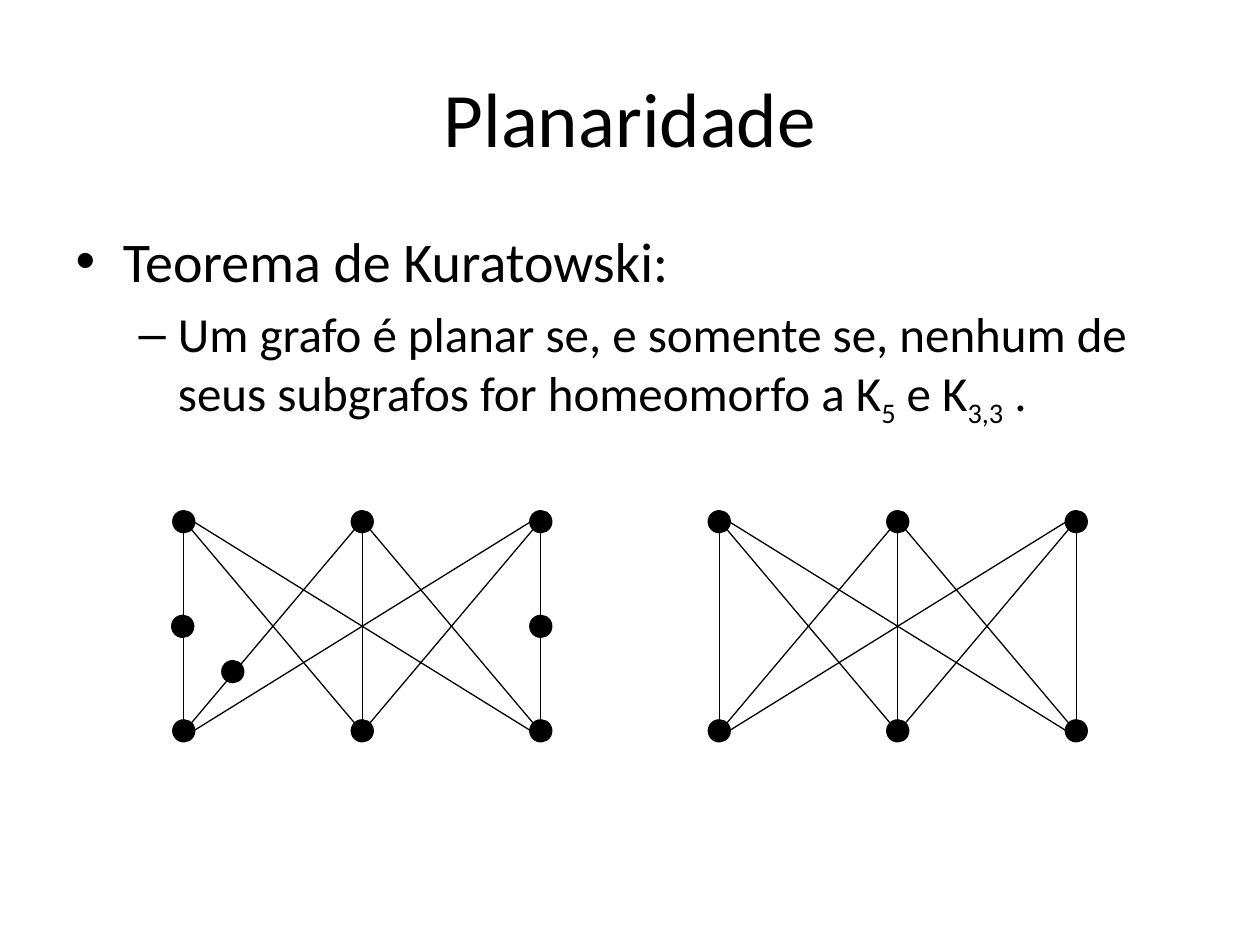
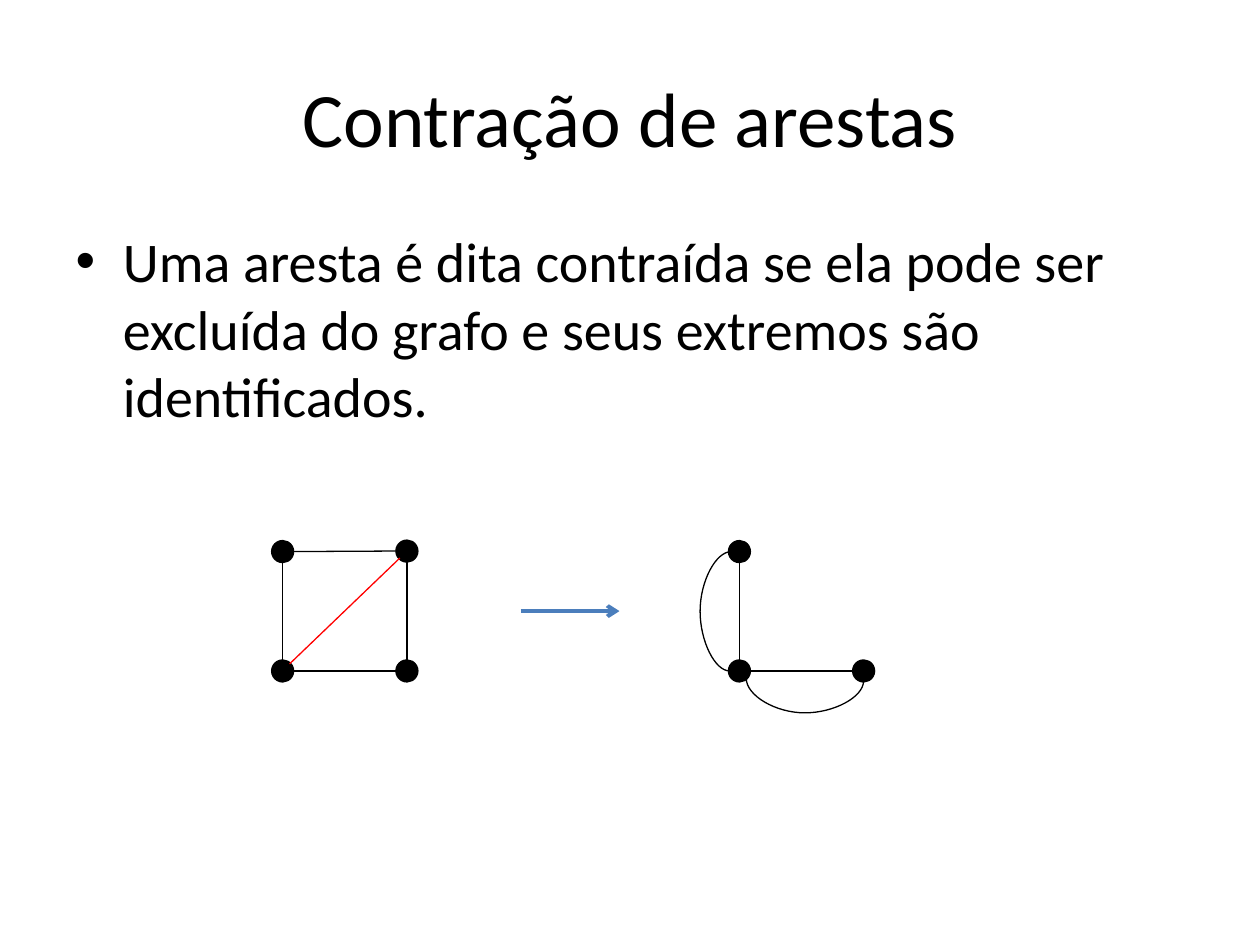
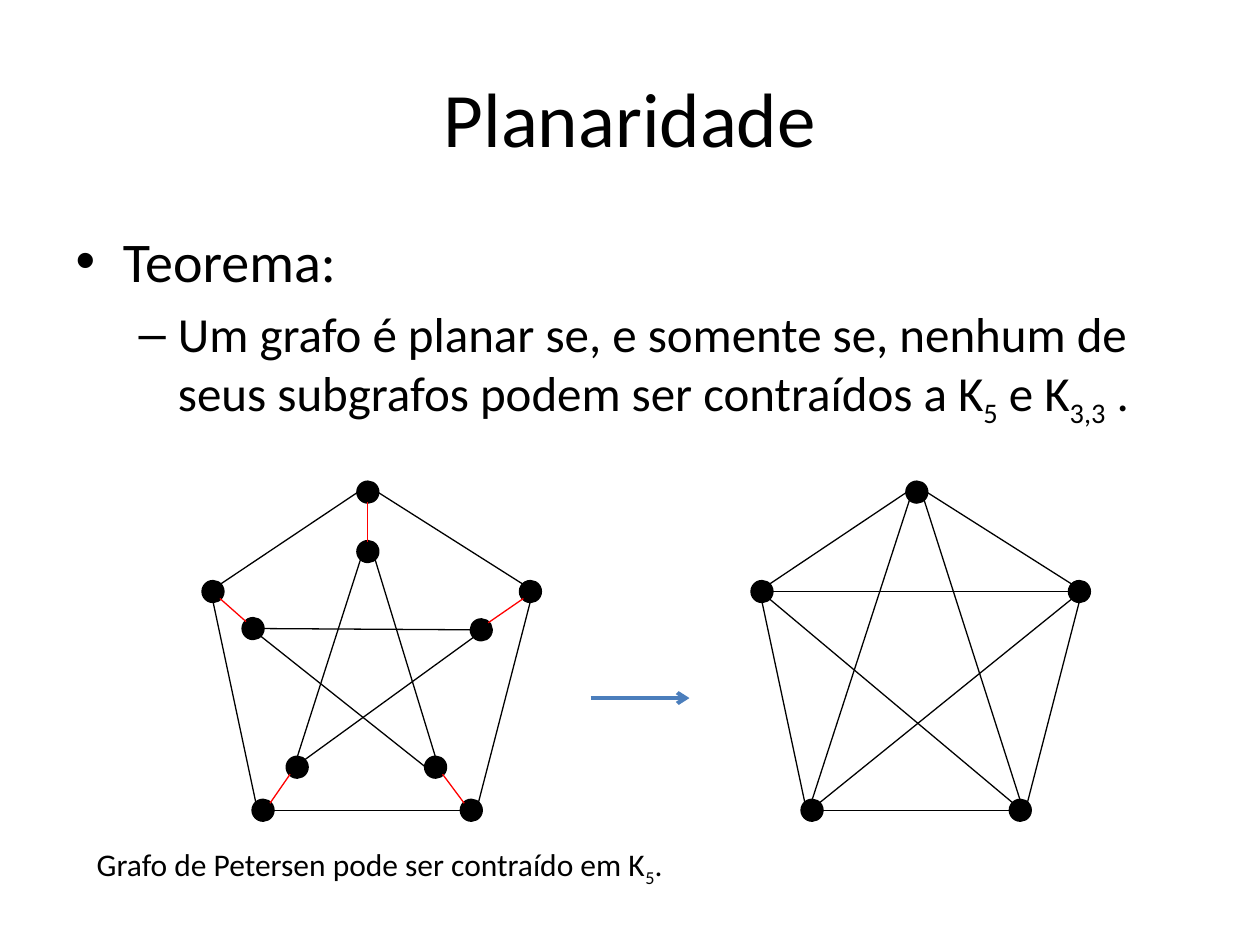
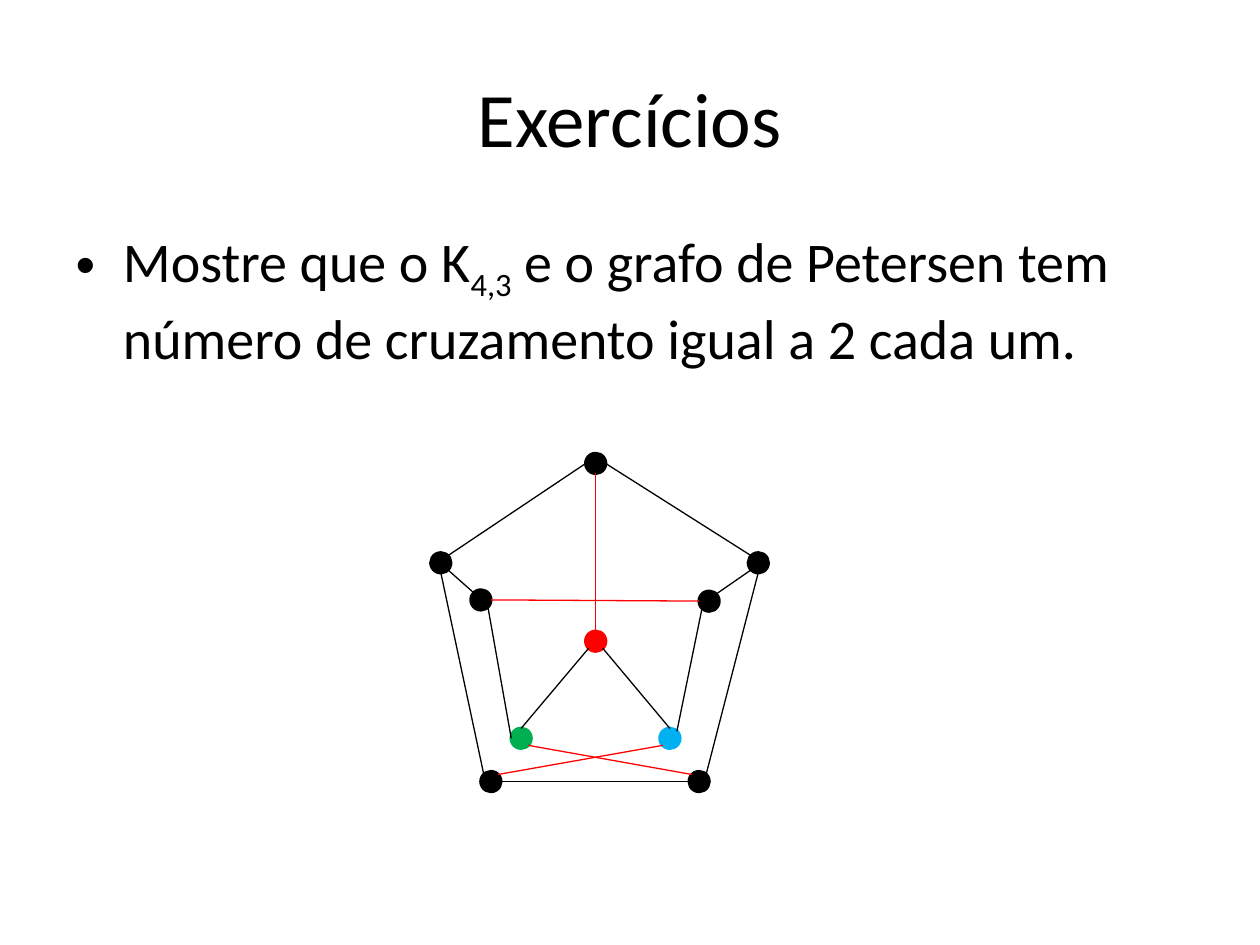
from lxml import etree
from pptx import Presentation
from pptx.dml.color import RGBColor
from pptx.enum.shapes import MSO_CONNECTOR, MSO_SHAPE
from pptx.enum.text import MSO_ANCHOR, PP_ALIGN
from pptx.oxml.ns import qn
from pptx.util import Pt

STRAIGHT, CURVE = MSO_CONNECTOR.STRAIGHT, MSO_CONNECTOR.CURVE
OVAL = MSO_SHAPE.OVAL
MIDDLE, CENTER = MSO_ANCHOR.MIDDLE, PP_ALIGN.CENTER

COLORS = {"black": "000000", "red": "FF0000", "green": "00B050",
          "cyan": "00B0F0", "arrow": "4B7EBC"}
FONT = "Calibri"
BODY_SIZES = [32, 28]
NODE_SIZE = 11.3
RADIUS = NODE_SIZE / 2
DIAGONAL = RADIUS * 0.71
SITES = {"N": (0, -RADIUS), "S": (0, RADIUS), "W": (-RADIUS, 0), "E": (RADIUS, 0),
         "NW": (-DIAGONAL, -DIAGONAL), "NE": (DIAGONAL, -DIAGONAL),
         "SW": (-DIAGONAL, DIAGONAL), "SE": (DIAGONAL, DIAGONAL)}


def write_para(para, text, size):
    """Fill a paragraph; every second piece between bars is a subscript."""
    for index, piece in enumerate(text.split("|")):
        span = para.add_run()
        span.text = piece
        span.font.name = FONT
        span.font.size = Pt(size)
        span.font.color.rgb = RGBColor.from_string(COLORS["black"])
        if index % 2:
            span.font._element.set("baseline", "-25000")


def draw_line(page, begin, end, color="black", width=0.75, kind=STRAIGHT):
    line = page.shapes.add_connector(kind, *[Pt(value) for value in (*begin, *end)])
    line.line.color.rgb = RGBColor.from_string(COLORS[color])
    line.line.width = Pt(width)
    etree.SubElement(line._element.spPr, qn("a:effectLst"))
    return line


# Bipartite graph K3,3: three columns, two rows
COLUMN_GAP = 102
TOP_SITES = ["W", "SW", "S", "SE", "E"]
BOTTOM_SITES = ["E", "NE", "N", "NW", "W"]
bipartite = {f"{row}{column}": (105 + column * COLUMN_GAP, y)
             for row, y in (("top", 298.1), ("low", 417.6)) for column in range(3)}
bipartite_edges = " ".join(
    f"top{i}.{TOP_SITES[j - i + 2]}-low{j}.{BOTTOM_SITES[j - i + 2]}"
    for i in range(3) for j in range(3))
subdivided = {**bipartite, "mid0": (104.4, 357.9), "mid1": (133, 383.8), "mid2": (309, 357.9)}

# Square with a diagonal, and what is left after its contraction
square = {"a": (161.5, 315.2), "b": (232.5, 314.9), "c": (161.5, 383.4), "d": (232.5, 383.4)}
contracted = {name: square[name] for name in "acd"}
CONTRACTED_SHIFT = 261

# Pentagon and Petersen graphs; capitals name the outer nodes
pentagon = {"T": (210.2, 281.2), "L": (121.7, 338), "R": (303.1, 338),
            "BL": (150.3, 463), "BR": (269.3, 463)}
pentagon_edges = "R.NW-T.E T.W-L.NE L.S-BL.NW R.S-BR.NE BL.E-BR.W "
side_nodes = {"l": (144.6, 359.2), "r": (275, 359.9)}
petersen = {**pentagon, **side_nodes, "t": (210.2, 315.2),
            "bl": (169.8, 438.4), "br": (248.9, 438.4)}
two_crossings = {**pentagon, **side_nodes, "t": (210.2, 382.8),
                 "bl": (167.6, 438.3), "br": (252.6, 438.3)}
node_colors = {"t": "red", "bl": "green", "br": "cyan"}

# Each graph: shift, nodes, black edges, red edges, node colours
PAGES = [
    {"title": "Planaridade",
     "body": ["Teorema de Kuratowski:",
              "Um grafo é planar se, e somente se, nenhum de seus subgrafos "
              "for homeomorfo a K|5| e K|3,3| ."],
     "graphs": [((0, 0), subdivided, bipartite_edges, "", {}),
                ((3 * COLUMN_GAP, 0), bipartite, bipartite_edges, "", {})]},
    {"title": "Contração de arestas",
     "body": ["Uma aresta é dita contraída se ela pode ser excluída do grafo "
              "e seus extremos são identificados."],
     "graphs": [((0, 0), square, "a.E-b.W b.S-d.N d.W-c.E a.S-c.N", "b.SW-c.NE", {}),
                ((CONTRACTED_SHIFT, 0), contracted, "d.W-c.E a.S-c.N", "", {})],
     "arrow": (297.5, 349.2)},
    {"title": "Planaridade",
     "body": ["Teorema:",
              "Um grafo é planar se, e somente se, nenhum de seus subgrafos "
              "podem ser contraídos a K|5| e K|3,3| ."],
     "graphs": [((0, 0), petersen,
                 pentagon_edges + "t.SE-br.N t.SW-bl.N br.W-l.SE l.E-r.W r.SW-bl.NE",
                 "T.S-t.N R.SW-r.NE L.SE-l.NW BR.NW-br.SE bl.SW-BL.NE", {}),
                ((313.7, 0), pentagon,
                 pentagon_edges + "T.SE-BR.N T.SW-BL.N BR.NW-L.SE L.E-R.W R.SW-BL.NE",
                 "", {})],
     "arrow": (337.5, 398.9)},
    {"title": "Exercícios",
     "body": ["Mostre que o K|4,3| e o grafo de Petersen tem número de "
              "cruzamento igual a 2 cada um."],
     "graphs": [((130.2, -16.4), two_crossings,
                 pentagon_edges + "t.SW-bl.N t.SE-br.N bl.W-l.SE r.SW-br.NE R.SW-r.NE L.SE-l.NW",
                 "l.E-r.W T.S-t.N BR.NW-bl.SE br.SW-BL.NE", node_colors)]},
]
ARROW_LENGTH = 56.5

deck = Presentation()
deck.slide_width, deck.slide_height = Pt(720), Pt(540)

for content in PAGES:
    page = deck.slides.add_slide(deck.slide_layouts[1])
    title, body = page.placeholders
    for holder, top, height in ((title, 21.6, 90), (body, 126, 356.4)):
        holder.left, holder.top = Pt(36), Pt(top)
        holder.width, holder.height = Pt(648), Pt(height)
    title.text_frame.vertical_anchor = MIDDLE
    title.text_frame.paragraphs[0].alignment = CENTER
    write_para(title.text_frame.paragraphs[0], content["title"], 44)
    for level, text in enumerate(content["body"]):
        para = body.text_frame.add_paragraph() if level else body.text_frame.paragraphs[0]
        para.level = level
        para.space_before = Pt(BODY_SIZES[level] * 0.2 if level else 0)
        write_para(para, text, BODY_SIZES[level])

    for (shift_x, shift_y), nodes, black_edges, red_edges, fills in content["graphs"]:
        for name, (x, y) in nodes.items():
            node = page.shapes.add_shape(OVAL, Pt(x + shift_x - RADIUS), Pt(y + shift_y - RADIUS),
                                         Pt(NODE_SIZE), Pt(NODE_SIZE))
            color = RGBColor.from_string(COLORS[fills.get(name, "black")])
            node.shadow.inherit = False
            node.fill.solid()
            node.fill.fore_color.rgb = color
            node.line.color.rgb = color
            node.line.width = Pt(2)
        for color, edges in (("black", black_edges), ("red", red_edges)):
            for edge in edges.split():
                ends = []
                for end in edge.split("-"):
                    name, site = end.split(".")
                    ends.append((nodes[name][0] + shift_x + SITES[site][0],
                                 nodes[name][1] + shift_y + SITES[site][1]))
                draw_line(page, *ends, color)

    if "arrow" in content:
        x, y = content["arrow"]
        arrow = draw_line(page, (x, y), (x + ARROW_LENGTH, y), "arrow", 2.25)
        etree.SubElement(arrow.line._get_or_add_ln(), qn("a:tailEnd"), type="arrow")

# Curved edges of the contracted graph: begin and end before turning, turn, bend
for begin, end, degrees, bend in (((460.8, 354.9), (459.14, 421.9), 90, -10.84),
                                  ((416.9, 383.4), (417.9, 315.2), 180, 18)):
    curve = draw_line(deck.slides[1], begin, end, kind=CURVE)
    properties = curve._element.spPr
    properties.find(qn("a:xfrm")).set("rot", str(degrees * 60000))
    geometry = properties.find(qn("a:prstGeom"))
    guides = geometry.find(qn("a:avLst"))
    if guides is None:
        guides = etree.SubElement(geometry, qn("a:avLst"))
    etree.SubElement(guides, qn("a:gd"), name="adj1", fmla=f"val {round(bend * 100000)}")

caption = deck.slides[2].shapes.add_textbox(Pt(48.2), Pt(479.5), Pt(345.6), Pt(29))
caption.text_frame.word_wrap = False
write_para(caption.text_frame.paragraphs[0], "Grafo de Petersen pode ser contraído em K|5|.", 18)

deck.save("out.pptx")
